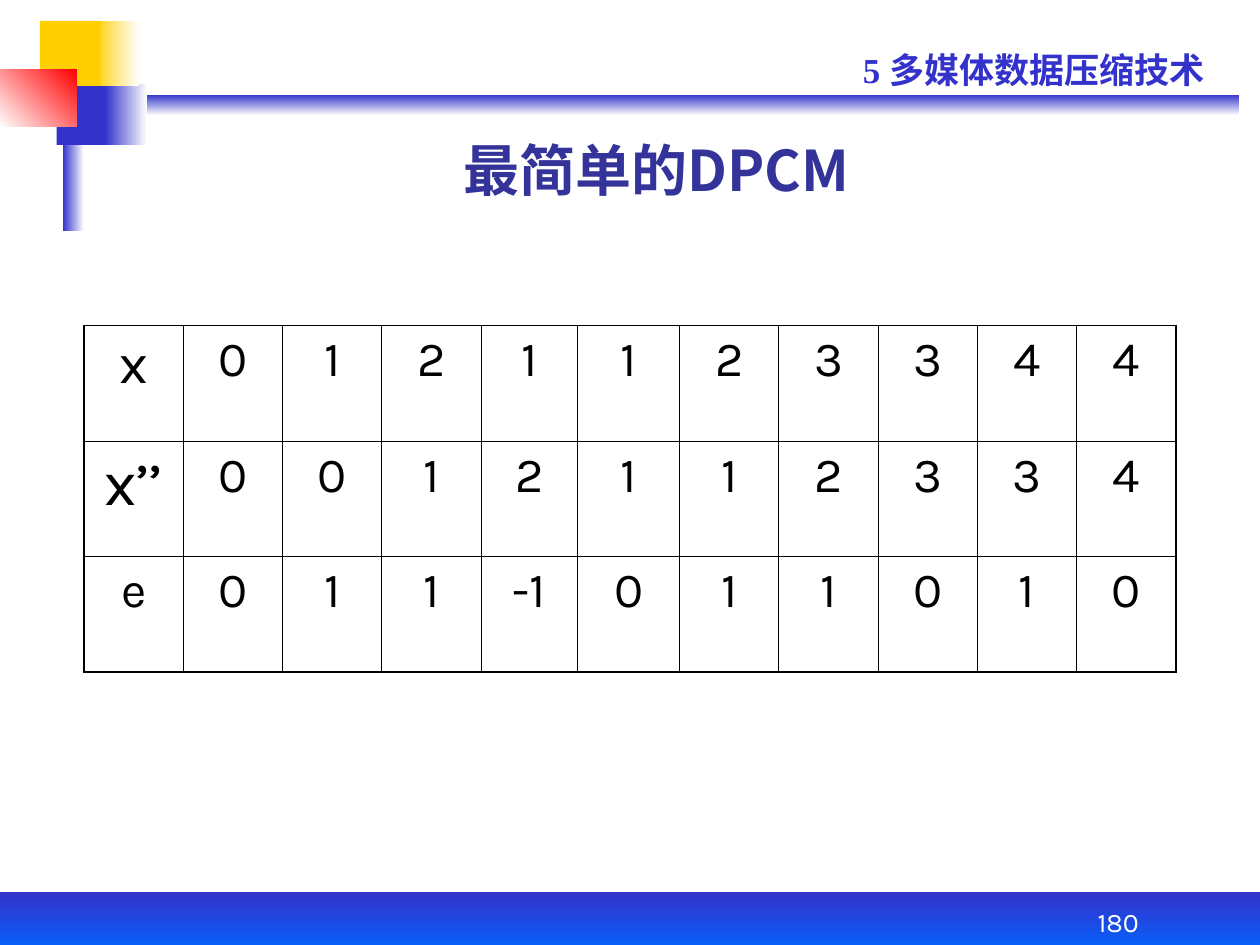
from dataclasses import dataclass
from typing import Optional

import pptx
import pptx.dml.color
import pptx.enum.shapes
import pptx.enum.text
import pptx.oxml.ns
import pptx.util
from lxml import etree

RGBColor = pptx.dml.color.RGBColor
ALIGN = pptx.enum.text.PP_ALIGN
ANCHOR = pptx.enum.text.MSO_ANCHOR

BLUE = RGBColor(0x33, 0x33, 0xCC)
BRIGHT_BLUE = RGBColor(0x00, 0x66, 0xFF)
TITLE_BLUE = RGBColor(0x33, 0x33, 0x99)
YELLOW = RGBColor(0xFF, 0xCF, 0x01)
RED = RGBColor(0xFF, 0x00, 0x00)
WHITE = RGBColor(0xFF, 0xFF, 0xFF)
BLACK = RGBColor(0x00, 0x00, 0x00)

BODY_FONT = "Karla"
HEADER_FONT = "Times New Roman"
CHINESE_FONT = "Noto Sans CJK SC"

# The slide is a grid of 120 columns by 90 rows of square units
SLIDE_WIDTH = pptx.util.Inches(10)
SLIDE_HEIGHT = pptx.util.Inches(7.5)
UNIT = SLIDE_WIDTH / 120
THIN, THICK = 0.45, 1.08


@dataclass
class Area:
    column: float
    row: float
    columns: float
    rows: float

    def emu(self) -> tuple:
        return tuple(grid(n) for n in (self.column, self.row, self.columns, self.rows))


@dataclass
class Block:
    area: Area
    start: RGBColor
    end: Optional[RGBColor] = None
    angle: float = 0  # counter-clockwise


@dataclass
class Label:
    area: Area
    text: str
    size: float
    font: str
    color: RGBColor
    bold: bool = False
    align: ALIGN = ALIGN.CENTER
    anchor: ANCHOR = ANCHOR.BOTTOM
    line_spacing: float = 1.0


BLOCKS = [
    Block(Area(7, 9, 111, 2), BLUE, WHITE, 270),          # header rule
    Block(Area(10, 8, 4, 5.8), BLUE, WHITE),              # blue fade
    Block(Area(0, 85, 120, 6), BLUE, BRIGHT_BLUE, 270),   # footer band
    Block(Area(6, 7, 2, 15), BLUE, WHITE),                # vertical bar
    Block(Area(5.4, 8, 4.6, 5.8), BLUE),                  # blue square
    Block(Area(8.9, 2, 4.3, 6.2), YELLOW, WHITE),         # yellow fade
    Block(Area(3.8, 2, 5.8, 6.2), YELLOW),                # yellow square
    Block(Area(0, 6.6, 7.3, 5.5), WHITE, RED, 45),        # red square
]

LABELS = [
    Label(Area(81, 4, 36, 5.3), "5 多媒体数据压缩技术", 20, HEADER_FONT, BLUE,
          bold=True, align=ALIGN.LEFT, anchor=ANCHOR.TOP),
    Label(Area(97, 85, 19, 5), "180", 15.3, BODY_FONT, WHITE, line_spacing=0.9),
    Label(Area(15, 11.9, 95, 8), "最简单的DPCM", 32, CHINESE_FONT, TITLE_BLUE, bold=True),
]

TABLE_AREA = Area(8, 31, 104, 33)
TABLE_ROWS = [
    ["x", "0", "1", "2", "1", "1", "2", "3", "3", "4", "4"],
    ["x’’", "0", "0", "1", "2", "1", "1", "2", "3", "3", "4"],
    ["e", "0", "1", "1", "-1", "0", "1", "1", "0", "1", "0"],
]
CELL_SIZE = 28
NAME_SIZES = {"x": 32, "x’’": 36}
COLUMN_SHIFTS = {4: -0.24, 5: 0.24}  # the fifth column is a little narrower


def grid(count: float) -> int:
    return round(count * UNIT)


def add_block(slide, block: Block) -> None:
    shape = slide.shapes.add_shape(
        pptx.enum.shapes.MSO_SHAPE.RECTANGLE, *block.area.emu())
    shape.shadow.inherit = False
    shape.line.fill.background()
    if block.end is None:
        shape.fill.solid()
        shape.fill.fore_color.rgb = block.start
        return
    shape.fill.gradient()
    shape.fill.gradient_angle = block.angle
    for stop, color, position in zip(
            shape.fill.gradient_stops, (block.start, block.end), (0, 1)):
        stop.color.rgb = color
        stop.position = position


def write_run(paragraph, text: str, size: float, font: str,
              color: RGBColor, bold: bool = False) -> None:
    run = paragraph.add_run()
    run.text = text
    run.font.size = pptx.util.Pt(size)
    run.font.name = font
    run.font.bold = bold
    run.font.color.rgb = color
    east_asian = etree.SubElement(run.font._element, pptx.oxml.ns.qn("a:ea"))
    east_asian.set("typeface", CHINESE_FONT)


def add_label(slide, label: Label) -> None:
    frame = slide.shapes.add_textbox(*label.area.emu()).text_frame
    frame.word_wrap = True
    frame.vertical_anchor = label.anchor
    paragraph = frame.paragraphs[0]
    paragraph.alignment = label.align
    paragraph.line_spacing = label.line_spacing
    write_run(paragraph, label.text, label.size, label.font, label.color, label.bold)


def add_border(cell, side: str, width: float) -> None:
    properties = cell._tc.get_or_add_tcPr()
    line = etree.SubElement(properties, pptx.oxml.ns.qn(f"a:ln{side}"))
    line.set("w", str(int(pptx.util.Pt(width))))
    fill = etree.SubElement(line, pptx.oxml.ns.qn("a:solidFill"))
    etree.SubElement(fill, pptx.oxml.ns.qn("a:srgbClr")).set("val", str(BLACK))


def add_value_table(slide) -> None:
    row_count, column_count = len(TABLE_ROWS), len(TABLE_ROWS[0])
    table = slide.shapes.add_table(
        row_count, column_count, *TABLE_AREA.emu()).table
    table.first_row = table.horz_banding = False
    for index, column in enumerate(table.columns):
        column.width = grid(TABLE_AREA.columns / column_count + COLUMN_SHIFTS.get(index, 0))
    for row in table.rows:
        row.height = grid(TABLE_AREA.rows / row_count)
    for row_index, values in enumerate(TABLE_ROWS):
        for column_index, value in enumerate(values):
            cell = table.cell(row_index, column_index)
            # Thick lines on the outside, thin lines within
            outer_sides = {
                "L": column_index == 0,
                "R": column_index == column_count - 1,
                "T": row_index == 0,
                "B": row_index == row_count - 1,
            }
            for side, is_outer in outer_sides.items():
                add_border(cell, side, THICK if is_outer else THIN)
            cell.fill.background()
            paragraph = cell.text_frame.paragraphs[0]
            paragraph.alignment = ALIGN.CENTER
            write_run(paragraph, value, NAME_SIZES.get(value, CELL_SIZE), BODY_FONT, BLACK)


def main() -> None:
    presentation = pptx.Presentation()
    presentation.slide_width = SLIDE_WIDTH
    presentation.slide_height = SLIDE_HEIGHT
    slide = presentation.slides.add_slide(presentation.slide_layouts[6])
    # Corner decoration and bands
    for block in BLOCKS:
        add_block(slide, block)
    # Header, page number and title
    for label in LABELS:
        add_label(slide, label)
    # Samples, predictions and errors
    add_value_table(slide)
    presentation.save("out.pptx")


if __name__ == "__main__":
    main()
